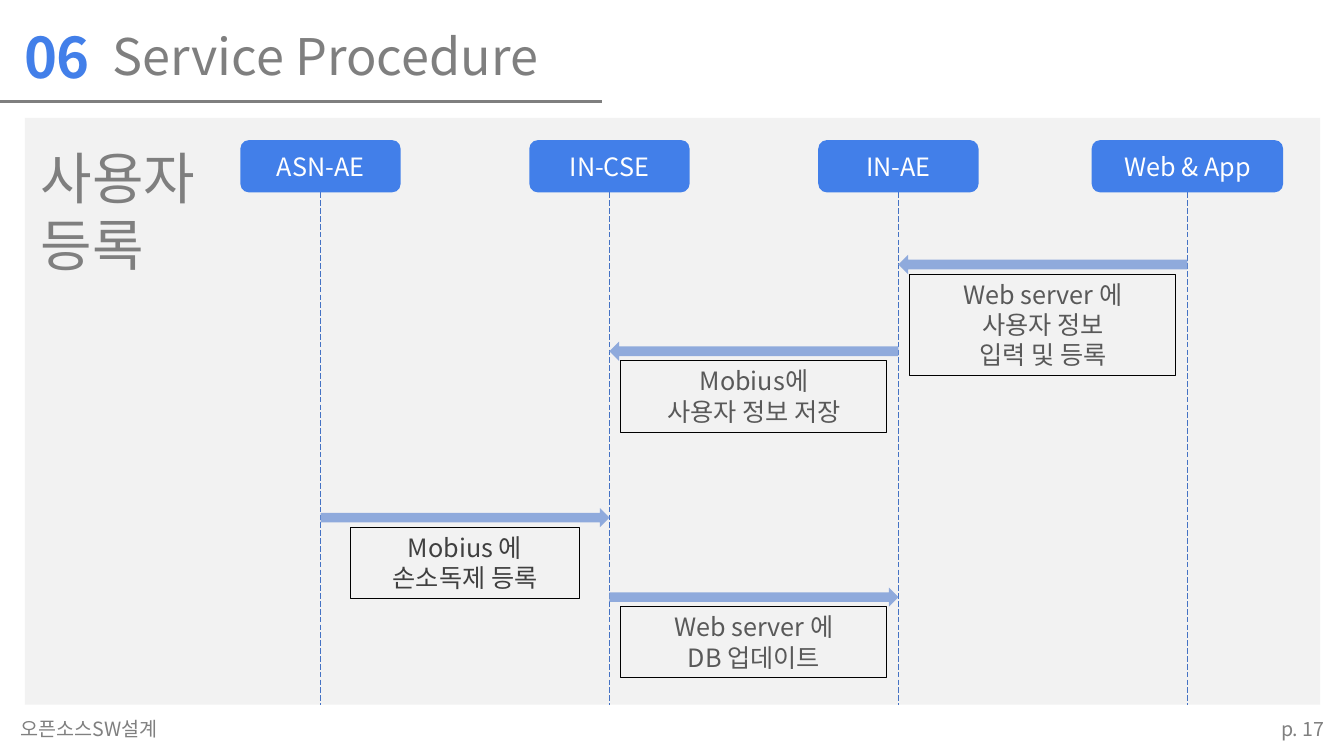
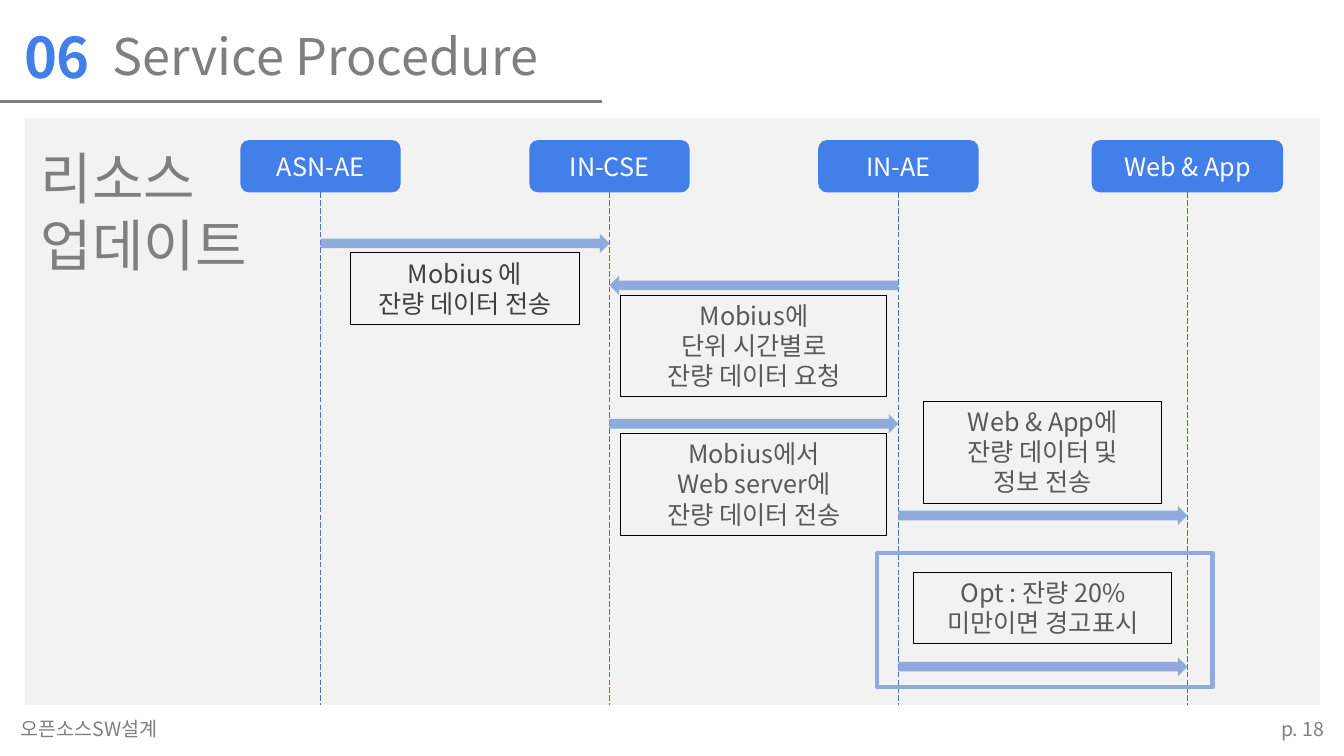
from lxml.etree import SubElement
from pptx import Presentation
from pptx.dml.color import RGBColor
from pptx.enum.dml import MSO_LINE
from pptx.enum.shapes import MSO_CONNECTOR, MSO_SHAPE
from pptx.enum.text import MSO_ANCHOR, PP_ALIGN
from pptx.oxml.ns import qn
from pptx.util import Inches, Pt

FONT = "Noto Sans CJK KR"
BLUE, LANE_BLUE, ARROW_BLUE = "427FE9", "4472C4", "8FAADC"
GRAY, FOOTER_GRAY, PANEL_GRAY = "7F7F7F", "808080", "F2F2F2"
DARK, MEDIUM, BLACK, WHITE = "404040", "595959", "000000", "FFFFFF"

# All lengths are percentages of the slide's width or height.
LANE_START, LANE_GAP = 23.85, 21.5
HEAD_TOP, HEAD_HEIGHT = 18.53, 6.93
PANEL_LEFT, PANEL_TOP, PANEL_WIDTH, PANEL_HEIGHT = 1.85, 15.6, 96.38, 77.6
ARROW_HEIGHT = 2.53
LABEL_PADDING, LABEL_LINE = 1.33, 4.05
FOOTER_TOP, FOOTER_HEIGHT = 94.13, 4.53
ACTORS = [("ASN-AE", 11.93), ("IN-CSE", 11.93), ("IN-AE", 11.93), ("Web & App", 14.25)]
ASN, CSE, AE, WEB = range(len(ACTORS))


def color(hex_code):
    return RGBColor.from_string(hex_code)


def lane_x(lane):
    return LANE_START + lane * LANE_GAP


class SequenceDeck:
    def __init__(self):
        self.deck = Presentation()
        self.deck.slide_width, self.deck.slide_height = Inches(13.333), Inches(7.5)
        self.slide = None

    def x(self, share):
        return round(self.deck.slide_width * share / 100)

    def y(self, share):
        return round(self.deck.slide_height * share / 100)

    def area(self, left, top, width, height):
        return self.x(left), self.y(top), self.x(width), self.y(height)

    def fill_text(self, frame, lines, size, ink, align=PP_ALIGN.LEFT,
                  anchor=MSO_ANCHOR.TOP, bold=False):
        frame.word_wrap = True
        frame.vertical_anchor = anchor
        frame.text = "\n".join(lines)
        for paragraph in frame.paragraphs:
            paragraph.alignment = align
            if anchor == MSO_ANCHOR.TOP:
                paragraph.line_spacing = Pt(size * 1.2)
            font = paragraph.font
            font.name, font.size, font.bold = FONT, Pt(size), bold
            font.color.rgb = color(ink)
            defaults = paragraph._p.pPr.find(qn("a:defRPr"))
            SubElement(defaults, qn("a:ea"), typeface=FONT)

    def text(self, area, lines, size, ink, **style):
        box = self.slide.shapes.add_textbox(*self.area(*area))
        self.fill_text(box.text_frame, lines, size, ink, **style)

    def block(self, kind, area, fill=None, outline=None, weight=0.75):
        shape = self.slide.shapes.add_shape(kind, *self.area(*area))
        shape.shadow.inherit = False
        if fill:
            shape.fill.solid()
            shape.fill.fore_color.rgb = color(fill)
        else:
            shape.fill.background()
        if outline:
            shape.line.color.rgb = color(outline)
            shape.line.width = Pt(weight)
        else:
            shape.line.fill.background()
        return shape

    def line(self, start, end, ink, weight, dash=None):
        connector = self.slide.shapes.add_connector(
            MSO_CONNECTOR.STRAIGHT,
            self.x(start[0]), self.y(start[1]), self.x(end[0]), self.y(end[1]))
        connector.line.color.rgb = color(ink)
        connector.line.width = Pt(weight)
        if dash:
            connector.line.dash_style = dash
        SubElement(connector._element.spPr, qn("a:effectLst"))

    def actor(self, lane, name, width):
        center = lane_x(lane)
        self.line((center, HEAD_TOP + HEAD_HEIGHT), (center, PANEL_TOP + PANEL_HEIGHT),
                  LANE_BLUE, 0.5, MSO_LINE.LONG_DASH)
        head = self.block(MSO_SHAPE.ROUNDED_RECTANGLE,
                          (center - width / 2, HEAD_TOP, width, HEAD_HEIGHT), BLUE)
        self.fill_text(head.text_frame, [name], 18, WHITE,
                       align=PP_ALIGN.CENTER, anchor=MSO_ANCHOR.MIDDLE)

    def message(self, sender, receiver, top, lines, width=19.8, label_top=None, ink=MEDIUM):
        """Draw an arrow between two lanes; its label hangs below unless label_top is given."""
        kind = MSO_SHAPE.RIGHT_ARROW if receiver > sender else MSO_SHAPE.LEFT_ARROW
        left = lane_x(min(sender, receiver))
        span = abs(receiver - sender) * LANE_GAP
        self.block(kind, (left, top, span, ARROW_HEIGHT), ARROW_BLUE)
        if label_top is None:
            label_top = top + ARROW_HEIGHT
        label = self.block(
            MSO_SHAPE.RECTANGLE,
            (left + (span - width) / 2, label_top, width, LABEL_PADDING + LABEL_LINE * len(lines)),
            outline=BLACK)
        self.fill_text(label.text_frame, lines, 18, ink, align=PP_ALIGN.CENTER)

    def option_frame(self, area):
        self.block(MSO_SHAPE.RECTANGLE, area, outline=ARROW_BLUE, weight=3)

    def procedure(self, heading, page):
        """Start a slide with the title, panel, actors and footer."""
        self.slide = self.deck.slides.add_slide(self.deck.slide_layouts[6])
        self.block(MSO_SHAPE.RECTANGLE,
                   (PANEL_LEFT, PANEL_TOP, PANEL_WIDTH, PANEL_HEIGHT), PANEL_GRAY)
        self.text((1.05, 2.27, 7.2, 10.27), ["06"], 40, BLUE, bold=True)
        self.text((7.65, 1.33, 36.45, 12), ["Service Procedure"], 36, GRAY,
                  anchor=MSO_ANCHOR.MIDDLE)
        self.line((0, 13.47), (44.78, 13.47), GRAY, 2.25)
        self.text((2.3, 18.27, 24, 19.33), heading, 40, GRAY)
        for lane, (name, width) in enumerate(ACTORS):
            self.actor(lane, name, width)
        self.text((0.75, FOOTER_TOP, 16, FOOTER_HEIGHT), ["오픈소스SW설계"], 14, FOOTER_GRAY)
        self.text((89.3, FOOTER_TOP, 10, FOOTER_HEIGHT), [f"p. {page}"], 14, FOOTER_GRAY,
                  align=PP_ALIGN.RIGHT)


def main():
    sequence = SequenceDeck()

    sequence.procedure(["사용자", "등록"], 17)
    sequence.message(WEB, AE, 33.73, ["Web server 에", "사용자 정보", "입력 및 등록"])
    sequence.message(AE, CSE, 45.2, ["Mobius에", "사용자 정보 저장"])
    sequence.message(ASN, CSE, 67.2, ["Mobius 에", "손소독제 등록"], width=17.1, ink=DARK)
    sequence.message(CSE, AE, 77.73, ["Web server 에", "DB 업데이트"])

    sequence.procedure(["리소스", "업데이트"], 18)
    sequence.message(ASN, CSE, 30.93, ["Mobius 에", "잔량 데이터 전송"], width=17.1, ink=DARK)
    sequence.message(AE, CSE, 36.5, ["Mobius에", "단위 시간별로", "잔량 데이터 요청"])
    sequence.message(CSE, AE, 54.8, ["Mobius에서", "Web server에", "잔량 데이터 전송"])
    sequence.message(AE, WEB, 66.93, ["Web & App에", "잔량 데이터 및", "정보 전송"],
                     width=17.7, label_top=53.07)
    sequence.option_frame((65.25, 73.2, 24.98, 17.73))
    sequence.message(AE, WEB, 86.93, ["Opt : 잔량 20%", "미만이면 경고표시"],
                     width=19.2, label_top=75.73)

    sequence.deck.save("out.pptx")


if __name__ == "__main__":
    main()
